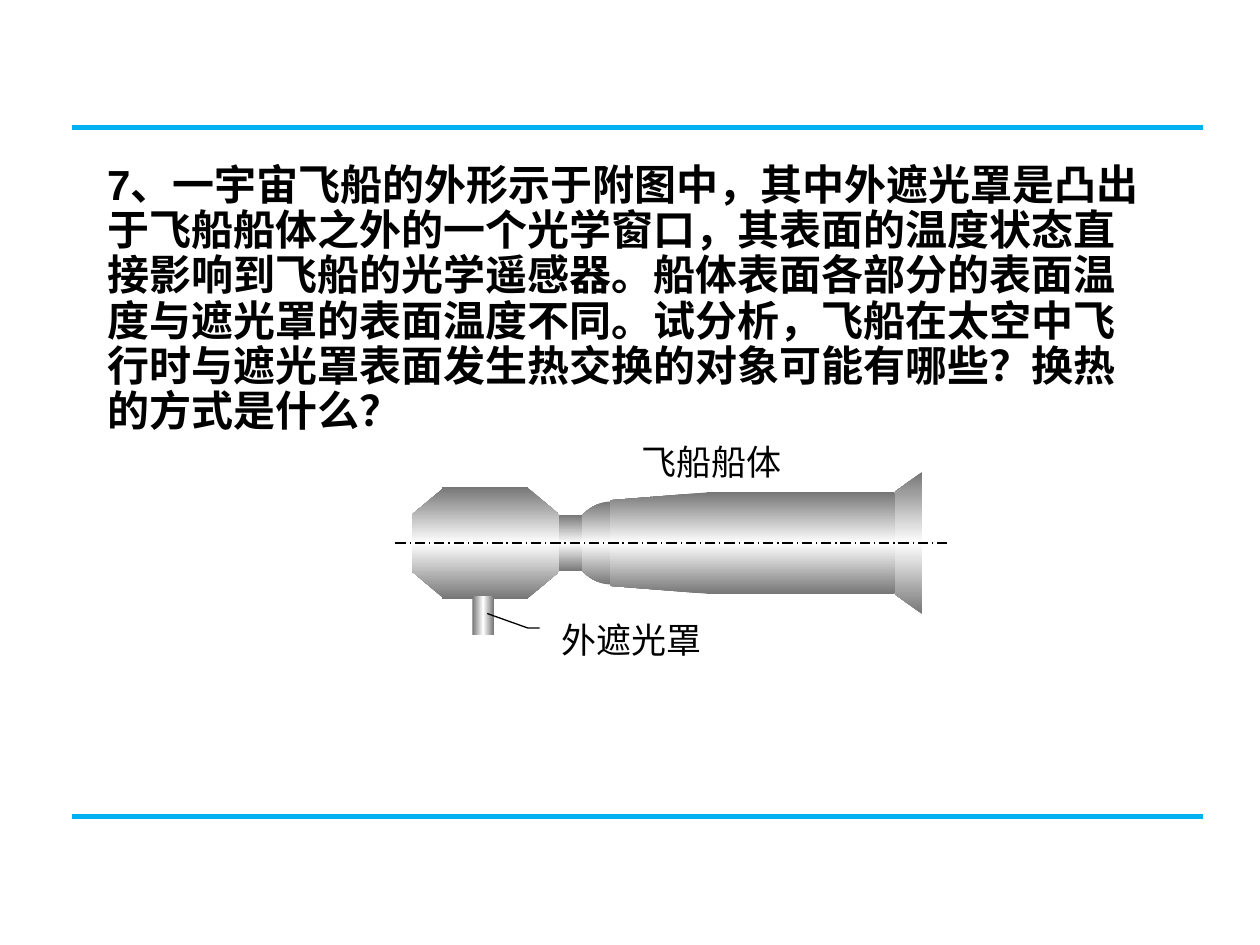
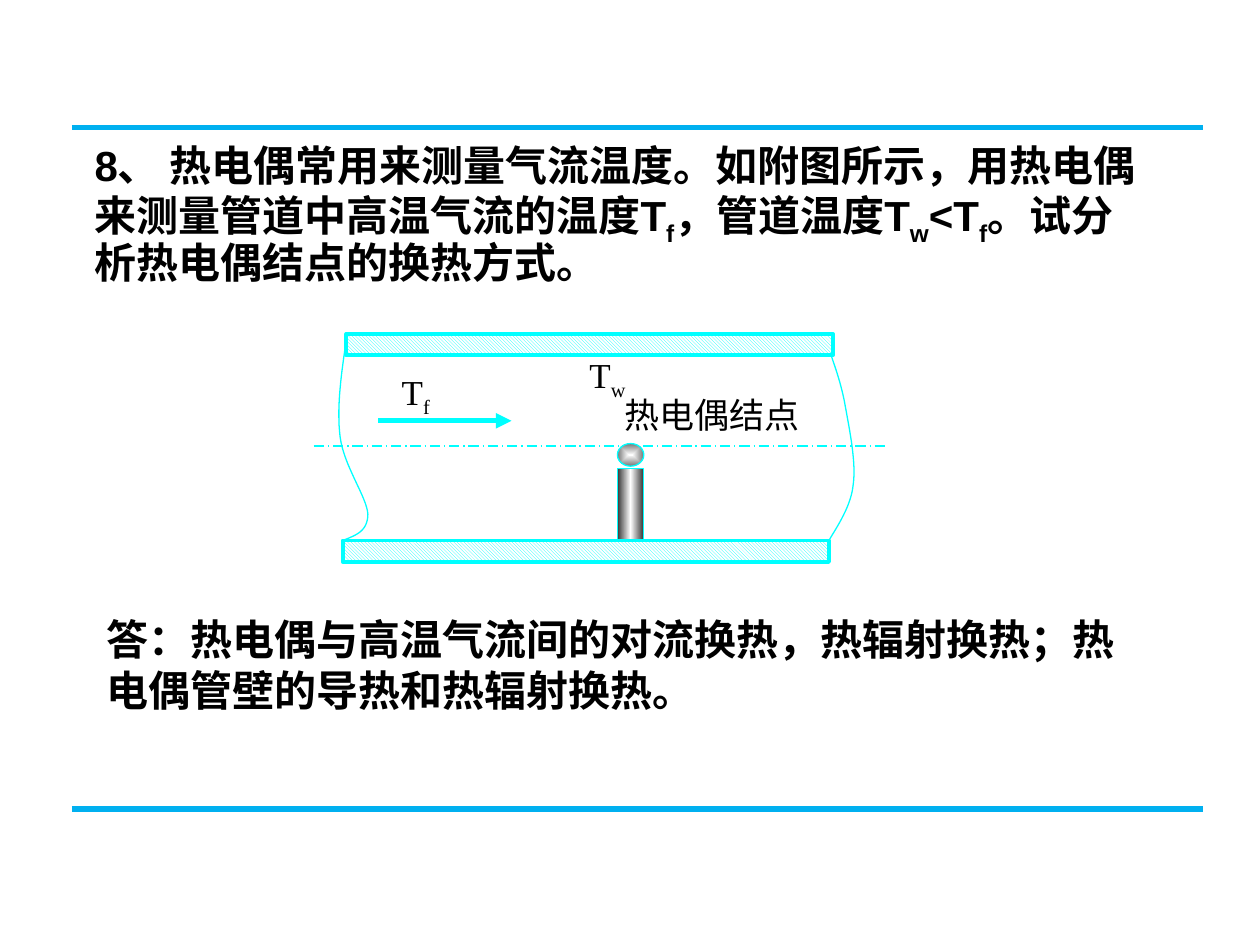
from copy import deepcopy
from dataclasses import dataclass

from lxml import etree
from pptx import Presentation
from pptx.dml.color import RGBColor
from pptx.enum.dml import MSO_LINE, MSO_PATTERN
from pptx.enum.shapes import MSO_CONNECTOR, MSO_SHAPE
from pptx.enum.text import MSO_ANCHOR, MSO_AUTO_SIZE, PP_ALIGN
from pptx.oxml.ns import qn
from pptx.util import Inches, Pt

RECT, OVAL = MSO_SHAPE.RECTANGLE, MSO_SHAPE.OVAL
CALLOUT = MSO_SHAPE.LINE_CALLOUT_2_NO_BORDER
STRAIGHT = MSO_CONNECTOR.STRAIGHT
DASH_DOT = MSO_LINE.LONG_DASH_DOT
HATCH = MSO_PATTERN.LIGHT_DOWNWARD_DIAGONAL
JUSTIFY, TOP = PP_ALIGN.JUSTIFY, MSO_ANCHOR.TOP
NO_AUTOFIT = MSO_AUTO_SIZE.NONE

BLACK, WHITE, RULE_BLUE, CYAN = "000000", "FFFFFF", "00B0F0", "00FFFF"
METAL, STEEL = "767676", "333333"
WIDTH, HEIGHT = 10, 7.5
BODY = dict(size=24, font="Arial", bold=True)
LABEL = dict(size=20, font="Times New Roman", align=JUSTIFY)


def rgb(hex_color):
    return RGBColor.from_string(hex_color)


@dataclass
class Grid:
    """A box in inches, divided into equal columns and rows."""
    left: float
    top: float
    width: float
    height: float
    columns: float = 1
    rows: float = 1

    def point(self, x, y):
        return (Inches(self.left + x * self.width / self.columns),
                Inches(self.top + y * self.height / self.rows))

    def place(self, x, y, w, h):
        left, top = self.point(x, y)
        right, bottom = self.point(x + w, y + h)
        return left, top, right - left, bottom - top


PAGE = Grid(0, 0, WIDTH, HEIGHT, 100, 100)


def write(frame, text, size, font, bold=False, align=None, line_spacing=None,
          color=BLACK):
    """Fill a text frame; words between ~ signs become subscripts."""
    frame.word_wrap = True
    frame.auto_size = NO_AUTOFIT
    frame.vertical_anchor = TOP
    paragraph = frame.paragraphs[0]
    properties = paragraph._p.get_or_add_pPr()
    properties.set("marL", "0")
    properties.set("indent", "0")
    etree.SubElement(properties, qn("a:buNone"))
    paragraph.space_before = Pt(0)
    paragraph.alignment = align
    paragraph.line_spacing = line_spacing
    for index, part in enumerate(text.split("~")):
        run = paragraph.add_run()
        run.text = part
        run.font.size, run.font.name, run.font.bold = Pt(size), font, bold
        run.font.color.rgb = rgb(color)
        if index % 2:
            run._r.get_or_add_rPr().set("baseline", "-25000")


def add_label(shapes, place, text, **text_format):
    write(shapes.add_textbox(*place).text_frame, text, **text_format)


def outline(shape, color=None, width=0.75):
    shape.shadow.inherit = False
    if color:
        shape.line.color.rgb = rgb(color)
        shape.line.width = Pt(width)
    else:
        shape.line.fill.background()


def shade(shape, *colors, angle=90, radial=False):
    """Spread the colours evenly over a linear or radial gradient."""
    shape.fill.gradient()
    shape.fill.gradient_angle = angle
    gradient = shape._element.spPr.find(qn("a:gradFill"))
    stop_list = gradient.find(qn("a:gsLst"))
    while len(stop_list) < len(colors):
        stop_list.append(deepcopy(stop_list[0]))
    for index, (stop, color) in enumerate(zip(shape.fill.gradient_stops, colors)):
        stop.color.rgb = rgb(color)
        stop.position = index / (len(colors) - 1)
    if radial:
        linear = gradient.find(qn("a:lin"))
        center = etree.Element(qn("a:path"), path="shape")
        etree.SubElement(center, qn("a:fillToRect"),
                         {side: "50000" for side in "ltrb"})
        gradient.replace(linear, center)


def add_line(shapes, start, end, color, width=0.75, dash=None, arrow=False):
    line = shapes.add_connector(STRAIGHT, *start, *end)
    line.line.color.rgb = rgb(color)
    line.line.width = Pt(width)
    if dash:
        line.line.dash_style = dash
    if arrow:
        etree.SubElement(line.line._get_or_add_ln(), qn("a:tailEnd"), type="triangle")
    etree.SubElement(line._element.spPr, qn("a:effectLst"))


def add_outline(shapes, points, close):
    builder = shapes.build_freeform(*points[0], scale=1.0)
    builder.add_line_segments(points[1:], close=close)
    return builder.convert_to_shape()


def bezier(start, control_1, control_2, end, steps=16):
    """Points after the start of a cubic curve."""
    points = []
    for step in range(1, steps + 1):
        t = step / steps
        weights = ((1 - t) ** 3, 3 * t * (1 - t) ** 2, 3 * t * t * (1 - t), t ** 3)
        points.append(tuple(
            sum(w * p[axis] for w, p in zip(weights, (start, control_1, control_2, end)))
            for axis in (0, 1)))
    return points


def add_question_slide(deck, question, box, rule_rows):
    slide = deck.slides.add_slide(deck.slide_layouts[1])
    title = slide.shapes.title
    title._element.getparent().remove(title._element)
    body = slide.placeholders[1]
    body.left, body.top, body.width, body.height = box.place(0, 0, 1, 1)
    write(body.text_frame, question, line_spacing=0.9, **BODY)
    for row in rule_rows:
        add_line(slide.shapes, PAGE.point(5.7, row), PAGE.point(95.5, row), RULE_BLUE, 3)
    return slide


def draw_spacecraft(slide, grid):
    shapes = slide.shapes.add_group_shape().shapes
    axis = 9.1
    # Each hull section: kind, left, half height, right, half height
    hull = [
        ("flare", 40, 4.05, 42.2, 5.65),
        ("nose", 1.7, 2.25, 4.3, 4.45),
        ("rear", 10.8, 4.45, 13.4, 2.25),
        ("barrel", 4.1, 4.45, 10.9, 4.45),
        ("dome", 14.4, 3.3, 20.8, 3.3),
        ("neck", 13.4, 2.25, 15.2, 2.25),
        ("cylinder", 25.1, 4.05, 40, 4.05),
        ("cone", 17.4, 3.4, 25.5, 4.05),
    ]
    for name, left, half_left, right, half_right in hull:
        if half_left == half_right:
            section = shapes.add_shape(
                OVAL if name == "dome" else RECT,
                *grid.place(left, axis - half_left, right - left, 2 * half_left))
        else:
            corners = [(left, axis - half_left), (right, axis - half_right),
                       (right, axis + half_right), (left, axis + half_left)]
            section = add_outline(shapes, [grid.point(*c) for c in corners], True)
        shade(section, METAL, WHITE, METAL)
        outline(section)
    add_line(shapes, grid.point(44.2, axis), grid.point(0.1, axis), BLACK, dash=DASH_DOT)

    shield = shapes.add_shape(RECT, *grid.place(6.5, 13.3, 1.7, 3.1))
    shade(shield, METAL, WHITE, METAL, angle=0)
    outline(shield)
    add_label(shapes, grid.place(18.9, 0.5, 14.7, 3.8), "飞船船体", **LABEL)
    shield_label = shapes.add_shape(CALLOUT, *grid.place(12.6, 14.6, 15.4, 3.2))
    for index, value in enumerate((0.39, -0.05, 0.39, -0.11, 0.03, -0.32)):
        shield_label.adjustments[index] = value
    shield_label.fill.background()
    outline(shield_label, BLACK)
    write(shield_label.text_frame, "外遮光罩", **LABEL)


def draw_pipe(slide, grid):
    shapes = slide.shapes.add_group_shape().shapes
    add_line(shapes, grid.point(0.9, 9.4), grid.point(46.5, 9.4), CYAN, dash=DASH_DOT)
    for left, top in ((3.5, 0.5), (3.2, 16.9)):
        wall = shapes.add_shape(RECT, *grid.place(left, top, 38.6, 1.7))
        wall.fill.patterned()
        wall.fill.pattern = HATCH
        wall.fill.fore_color.rgb, wall.fill.back_color.rgb = rgb(CYAN), rgb(WHITE)
        outline(wall, CYAN, 2.25)

    left_break = [(3.5, 0.9), (3.1, 3.6), (2.7, 6.3), (3, 8.7), (3.3, 11),
                  (5.1, 13.4), (5.2, 14.8), (5.2, 16.2), (4.2, 16.5), (3.2, 16.9)]
    right_break = [(42, 2.3), (42.4, 3.5), (42.8, 4.6), (43.1, 6.3), (43.4, 8),
                   (44, 10.8), (43.7, 12.6), (43.5, 14.4), (42.1, 16.3), (41.8, 16.9)]
    for knots in (left_break, right_break):
        curve = knots[:1]
        for first in range(0, len(knots) - 1, 3):
            curve += bezier(*knots[first:first + 4])
        pipe_break = add_outline(shapes, [grid.point(*p) for p in curve], False)
        pipe_break.fill.background()
        outline(pipe_break, CYAN)

    stem = shapes.add_shape(RECT, *grid.place(25, 11.2, 2.1, 5.6))
    shade(stem, STEEL, WHITE, STEEL, angle=0)
    junction = shapes.add_shape(OVAL, *grid.place(25, 9.2, 2.1, 1.8))
    shade(junction, WHITE, METAL, radial=True)
    for part in (stem, junction):
        outline(part, CYAN)
    add_line(shapes, grid.point(6, 7.4), grid.point(16.6, 7.4), CYAN, 3, arrow=True)
    for text, place in (("T~f~", (6.9, 2.9, 11, 4.9)),
                        ("T~w~", (21.8, 1.6, 10.6, 7)),
                        ("热电偶结点", (24.6, 4.7, 20.5, 6.7))):
        add_label(shapes, grid.place(*place), text, **LABEL)


def main():
    deck = Presentation()
    deck.slide_width, deck.slide_height = Inches(WIDTH), Inches(HEIGHT)

    spacecraft = add_question_slide(
        deck,
        "7、一宇宙飞船的外形示于附图中，其中外遮光罩是凸出于飞船船体之外的一个光学窗口，"
        "其表面的温度状态直接影响到飞船的光学遥感器。船体表面各部分的表面温度与遮光罩的"
        "表面温度不同。试分析，飞船在太空中飞行时与遮光罩表面发生热交换的对象可能有哪些？"
        "换热的方式是什么？",
        Grid(0.75, 1.25, 8.5, 4.5), (13.5, 86.4))
    draw_spacecraft(spacecraft, Grid(3.1, 3.4, 4.5, 1.8, 45, 18))

    thermocouple = add_question_slide(
        deck,
        "8、 热电偶常用来测量气流温度。如附图所示，用热电偶来测量管道中高温气流的温度"
        "T~f~，管道温度T~w~<T~f~。试分析热电偶结点的换热方式。",
        Grid(0.65, 1.1, 8.5, 2.13), (13.5, 85.6))
    draw_pipe(thermocouple, Grid(2.4, 2.6, 4.7, 1.9, 47, 19))
    add_label(thermocouple.shapes, PAGE.place(7.5, 64.3, 85, 27.6),
              "答：热电偶与高温气流间的对流换热，热辐射换热；热电偶管壁的导热和热辐射换热。",
              **BODY)
    deck.save("out.pptx")


if __name__ == "__main__":
    main()
